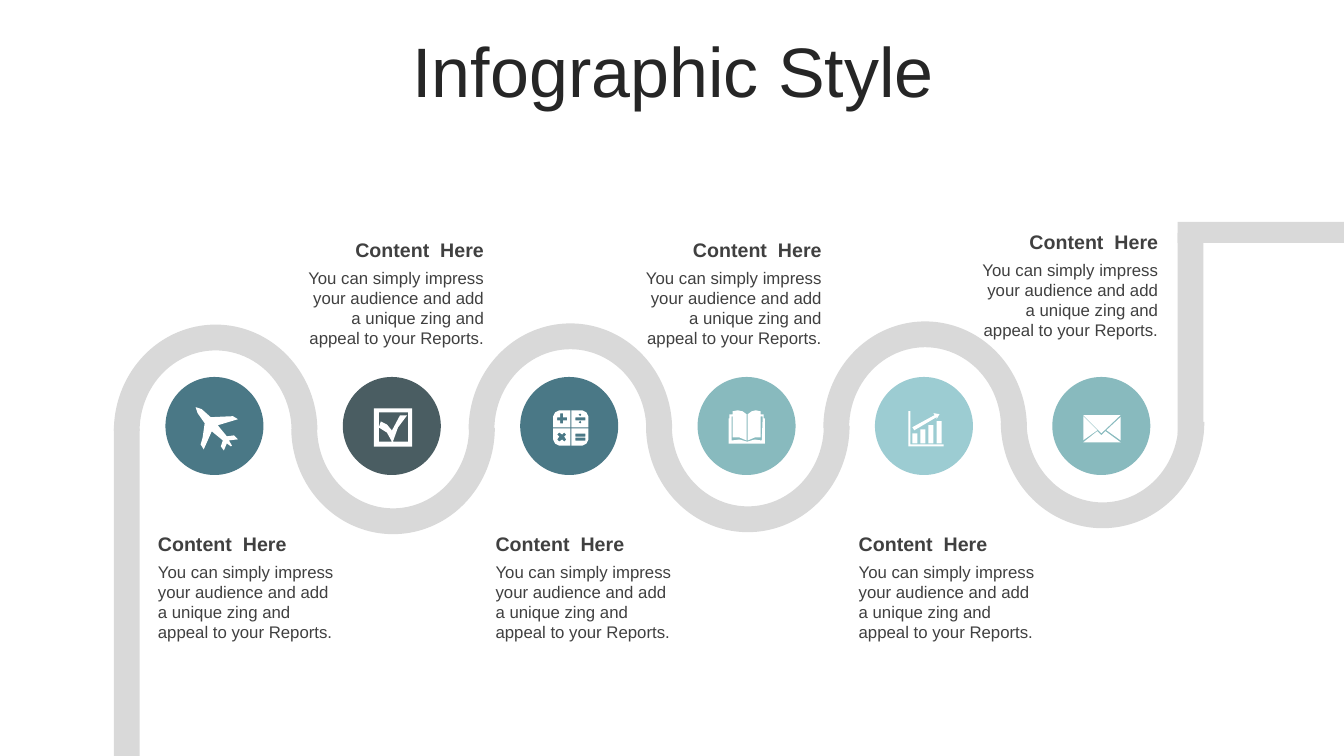
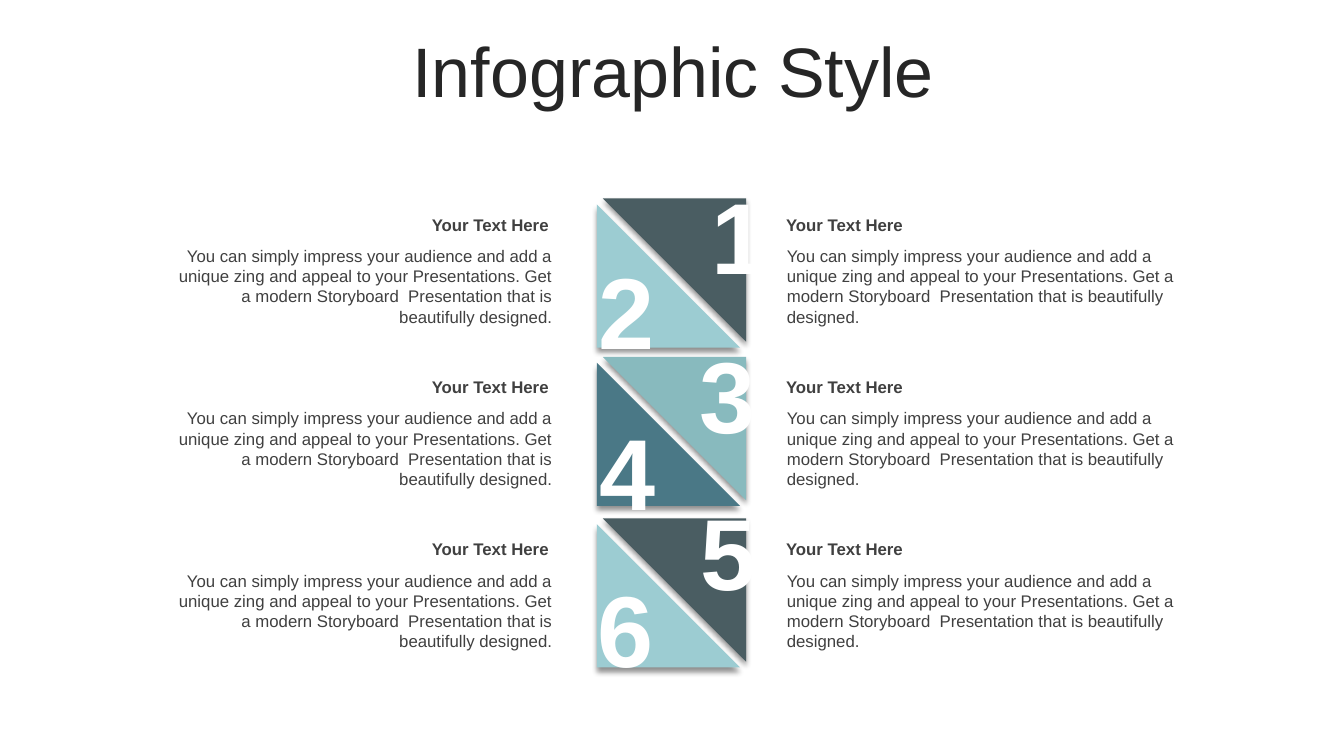
from dataclasses import dataclass

from lxml.etree import SubElement
from pptx import Presentation
from pptx.dml.color import RGBColor
from pptx.enum.shapes import MSO_SHAPE
from pptx.enum.text import MSO_ANCHOR, MSO_AUTO_SIZE, PP_ALIGN
from pptx.oxml.ns import qn
from pptx.util import Cm, Pt

# Shared look
FONT = "Arial"
INK = RGBColor(0x26, 0x26, 0x26)
GREY = RGBColor(0x40, 0x40, 0x40)
ROAD_GREY = RGBColor(0xD9, 0xD9, 0xD9)
WHITE = RGBColor(0xFF, 0xFF, 0xFF)
BLUE = RGBColor(0x4A, 0x78, 0x86)
SLATE = RGBColor(0x4A, 0x5D, 0x62)
TEAL = RGBColor(0x88, 0xBA, 0xBE)
SKY = RGBColor(0x9C, 0xCC, 0xD2)
LEFT, CENTER, RIGHT = PP_ALIGN.LEFT, PP_ALIGN.CENTER, PP_ALIGN.RIGHT

SLIDE_WIDTH, SLIDE_HEIGHT = 33.87, 19.05
TITLE = "Infographic Style"
TITLE_FONT = {"size": Pt(50), "color": INK}
HEADING_FONT = {"size": Pt(14), "bold": True, "color": GREY}
BODY_FONT = {"size": Pt(12), "color": GREY}
LABEL_FONT = {"size": Pt(12), "bold": True, "color": GREY}
NUMBER_FONT = {"size": Pt(72), "bold": True, "color": WHITE}
NUMBER_INSETS = {"margin_left": Cm(0.3), "margin_right": Cm(0.3),
                 "margin_top": Cm(0.13), "margin_bottom": Cm(0.13)}

# Road slide measures, in cm
PITCH = 4.47
ROAD_LEFT, ROAD_WIDTH = 2.87, 0.65
ARC_WIDTH, ARC_HEIGHT = 5.13, 5.36
EXIT_LEFT = 29.68
STOP_LEFT, STOP_TOP, STOP_SIZE = 4.17, 9.5, 2.47
ICON_UNIT = Cm(2.54) / 100
STOP_HEADING = "Content  Here"
STOP_BODY = ("You can simply impress your audience and add "
             "a unique zing and appeal to your Reports.")

# Triangle slide measures, in cm
TRIANGLE_SIZE, TRIANGLE_GAP = 3.61, 0.15
TRIANGLE_LEFT = 15.04
ROW_TOP, ROW_PITCH = 5.28, 4.09
ROW_HEADING = "Your Text Here"
ROW_BODY = ("You can simply impress your audience and add a unique zing and "
            "appeal to your Presentations. Get a modern Storyboard  "
            "Presentation that is beautifully designed.")

Contour = list[tuple[float, float]]


@dataclass
class Icon:
    left: float
    top: float
    contours: list[Contour]


@dataclass
class Stop:
    color: RGBColor
    arc_top: float
    text_left: float
    text_top: float
    align: PP_ALIGN
    icon: Icon


@dataclass
class Numeral:
    text: str
    left: float
    top: float


@dataclass
class TrianglePair:
    top: float
    upper_color: RGBColor
    lower_color: RGBColor
    upper: Numeral
    lower: Numeral


@dataclass
class TextColumn:
    left: float
    heading_width: float
    body_width: float
    align: PP_ALIGN


def box(x: float, y: float, width: float, height: float) -> Contour:
    return [(x, y), (x + width, y), (x + width, y + height), (x, y + height)]


PLANE = Icon(4.93, 10.26, [[
    (42, 32), (33, 33), (36, 38), (35, 39), (31, 36), (28, 43), (25, 39),
    (27, 33), (16, 24), (8, 42), (5, 37), (7, 30), (9, 16), (2, 6), (0, 0),
    (6, 2), (15, 10), (37, 9), (42, 12), (22, 18), (31, 29), (38, 28)]])
CHECK = Icon(9.42, 10.29, [
    box(0, 0, 38, 38),
    [(5, 4), (5, 33), (18, 33), (13, 24), (5, 19), (7, 13), (13, 16),
     (18, 22), (26, 7), (33, 7), (24, 19), (19, 33), (34, 33), (34, 4)]])
CALCULATOR = Icon(13.94, 10.34, [
    # Keys
    [(6, 0), (17, 0), (17, 17), (0, 17), (0, 6), (2, 2)],
    [(18, 0), (29, 0), (33, 2), (35, 6), (35, 17), (18, 17)],
    [(0, 18), (17, 18), (17, 35), (6, 35), (2, 33), (0, 29)],
    [(18, 18), (35, 18), (35, 29), (33, 33), (29, 35), (18, 35)],
    # Plus, divide, times, equals
    [(7, 3), (7, 7), (4, 7), (4, 10), (7, 10), (7, 13),
     (10, 13), (10, 10), (14, 10), (14, 7), (10, 7), (10, 3)],
    [(25, 4.5), (27, 3), (28, 4.5), (27, 6)],
    box(22, 7, 10, 3),
    [(25, 11.5), (27, 10), (28, 11.5), (27, 13)],
    [(6, 22), (4, 24), (6, 26), (4, 29), (6, 31), (9, 29),
     (11, 31), (13, 29), (11, 26), (13, 24), (11, 22), (9, 24)],
    box(22, 23, 10, 3), box(22, 27, 10, 3)])
BOOK = Icon(18.36, 10.34, [[
    (18, 31), (19, 31), (26, 29), (33, 30), (34, 6), (32, 6), (32, 27),
    (26, 27), (19, 30), (19, 4), (23, 1), (27, 0), (32, 1), (32, 4), (35, 4),
    (35, 8), (36, 8), (36, 33), (0, 33), (0, 8), (1, 8), (1, 4), (4, 4),
    (4, 1), (9, 0), (14, 1), (18, 4), (18, 30), (11, 27), (4, 27), (4, 6),
    (3, 6), (3, 30), (11, 29)]])
GROWTH = Icon(22.89, 10.36, [
    *[box(4 + 8 * bar, 22 - 4 * bar, 5, 10 + 4 * bar) for bar in range(4)],
    [(25, 2), (31, 3), (28, 8), (28, 6), (6, 19), (4, 16), (26, 4)],
    [(0, 0), (2, 0), (2, 33), (35, 33), (35, 35), (0, 35)]])
ENVELOPE = Icon(27.3, 10.46, [
    [(22, 16), (37, 27), (0, 27), (14, 16), (18, 20)],
    [(37, 2), (37, 25), (23, 15)],
    [(0, 1), (14, 15), (0, 25)],
    [(0, 0), (37, 0), (18, 18)]])

STOPS = [
    Stop(BLUE, 8.18, 3.73, 13.28, LEFT, PLANE),
    Stop(SLATE, 8.1, 7.37, 5.87, RIGHT, CHECK),
    Stop(BLUE, 8.15, 12.24, 13.27, LEFT, CALCULATOR),
    Stop(TEAL, 8.05, 15.88, 5.87, RIGHT, BOOK),
    Stop(SKY, 8.1, 21.39, 13.28, LEFT, GROWTH),
    Stop(TEAL, 7.95, 24.36, 5.66, RIGHT, ENVELOPE),
]
PAIRS = [
    TrianglePair(5, SLATE, SKY, Numeral("1", 17.63, 4.24), Numeral("2", 14.78, 6.15)),
    TrianglePair(8.99, TEAL, BLUE, Numeral("3", 17.32, 8.26), Numeral("4", 14.81, 10.19)),
    TrianglePair(13.06, SLATE, SKY, Numeral("5", 17.35, 12.22), Numeral("6", 14.76, 14.15)),
]
COLUMNS = [TextColumn(3.89, 10.19, 10.26, RIGHT),
           TextColumn(19.56, 10.26, 10.34, LEFT)]


def paint(shape, color: RGBColor) -> None:
    shape.shadow.inherit = False
    shape.fill.solid()
    shape.fill.fore_color.rgb = color
    shape.line.fill.background()


def add_block(slide, kind: MSO_SHAPE, left: float, top: float, width: float,
              height: float, color: RGBColor, rotation: float = 0):
    block = slide.shapes.add_shape(kind, Cm(left), Cm(top), Cm(width), Cm(height))
    block.rotation = rotation
    paint(block, color)
    return block


def add_text(slide, text: str, left: float, top: float, width: float,
             height: float, font: dict, align: PP_ALIGN, **frame_format):
    holder = slide.shapes.add_textbox(Cm(left), Cm(top), Cm(width), Cm(height))
    frame = holder.text_frame
    settings = {"word_wrap": True, "auto_size": MSO_AUTO_SIZE.SHAPE_TO_FIT_TEXT}
    for name, value in (settings | frame_format).items():
        setattr(frame, name, value)
    paragraph = frame.paragraphs[0]
    paragraph.alignment = align
    run = paragraph.add_run()
    run.text = text
    for name, value in ({"name": FONT} | font).items():
        if name == "color":
            run.font.color.rgb = value
        else:
            setattr(run.font, name, value)
    return paragraph


def add_titled_slide(deck):
    slide = deck.slides.add_slide(deck.slide_layouts[6])
    title = add_text(slide, TITLE, 0.89, 0.94, 32.16, 2.01, TITLE_FONT, CENTER,
                     auto_size=MSO_AUTO_SIZE.NONE,
                     vertical_anchor=MSO_ANCHOR.MIDDLE)
    title.line_spacing = 0.8
    return slide


def add_icon(slide, icon: Icon) -> None:
    first, *others = icon.contours
    pen = slide.shapes.build_freeform(*first[0], scale=ICON_UNIT)
    pen.add_line_segments(first[1:], close=True)
    for contour in others:
        pen.move_to(*contour[0])
        pen.add_line_segments(contour[1:], close=True)
    paint(pen.convert_to_shape(Cm(icon.left), Cm(icon.top)), WHITE)


def add_soft_shadow(shape) -> None:
    effects = shape._element.spPr.find(qn("a:effectLst"))
    shadow = SubElement(effects, qn("a:outerShdw"), blurRad=str(Pt(4)),
                        dist=str(Pt(3)), dir="5400000", algn="t", rotWithShape="0")
    black = SubElement(shadow, qn("a:srgbClr"), val="000000")
    SubElement(black, qn("a:alpha"), val="43000")


def add_triangle(slide, left: float, top: float, color: RGBColor,
                 rotation: float = 0) -> None:
    triangle = add_block(slide, MSO_SHAPE.RIGHT_TRIANGLE, left, top,
                         TRIANGLE_SIZE, TRIANGLE_SIZE, color, rotation)
    add_soft_shadow(triangle)


def build_road_slide(deck) -> None:
    slide = add_titled_slide(deck)
    # Winding road
    for index, stop in enumerate(STOPS):
        arc = add_block(slide, MSO_SHAPE.BLOCK_ARC, ROAD_LEFT + index * PITCH,
                        stop.arc_top, ARC_WIDTH, ARC_HEIGHT, ROAD_GREY,
                        180 * (index % 2))
        for position, value in enumerate((108, 215.59, ROAD_WIDTH / ARC_WIDTH)):
            arc.adjustments[position] = value
    # Entry and exit
    for left, top, width, height in (
            (ROAD_LEFT, 10.8, ROAD_WIDTH, SLIDE_HEIGHT - 10.8),
            (EXIT_LEFT, 5.87, ROAD_WIDTH, 5.08),
            (EXIT_LEFT, 5.59, SLIDE_WIDTH - EXIT_LEFT, 0.53)):
        add_block(slide, MSO_SHAPE.RECTANGLE, left, top, width, height, ROAD_GREY)
    # Stops with icons and texts
    for index, stop in enumerate(STOPS):
        add_block(slide, MSO_SHAPE.OVAL, STOP_LEFT + index * PITCH, STOP_TOP,
                  STOP_SIZE, STOP_SIZE, stop.color)
        add_icon(slide, stop.icon)
        add_text(slide, STOP_HEADING, stop.text_left, stop.text_top, 5.08, 0.86,
                 HEADING_FONT, stop.align)
        add_text(slide, STOP_BODY, stop.text_left, stop.text_top + 0.75, 5.08, 2.31,
                 BODY_FONT, stop.align)


def build_triangle_slide(deck) -> None:
    slide = add_titled_slide(deck)
    # Triangle pairs
    for pair in PAIRS:
        add_triangle(slide, TRIANGLE_LEFT, pair.top + TRIANGLE_GAP, pair.lower_color)
        add_triangle(slide, TRIANGLE_LEFT + TRIANGLE_GAP, pair.top,
                     pair.upper_color, 180)
    # Numerals
    for pair in PAIRS:
        for numeral in (pair.upper, pair.lower):
            add_text(slide, numeral.text, numeral.left, numeral.top, 1.7, 3.33,
                     NUMBER_FONT, CENTER, **NUMBER_INSETS)
    # Texts on both sides
    for column in COLUMNS:
        for row in range(len(PAIRS)):
            top = ROW_TOP + row * ROW_PITCH
            add_text(slide, ROW_HEADING, column.left, top, column.heading_width,
                     0.76, LABEL_FONT, column.align)
            add_text(slide, ROW_BODY, column.left + 0.02, top + 0.79,
                     column.body_width, 2.31, BODY_FONT, column.align)


def main() -> None:
    deck = Presentation()
    deck.slide_width, deck.slide_height = Cm(SLIDE_WIDTH), Cm(SLIDE_HEIGHT)
    build_road_slide(deck)
    build_triangle_slide(deck)
    deck.save("out.pptx")


if __name__ == "__main__":
    main()
